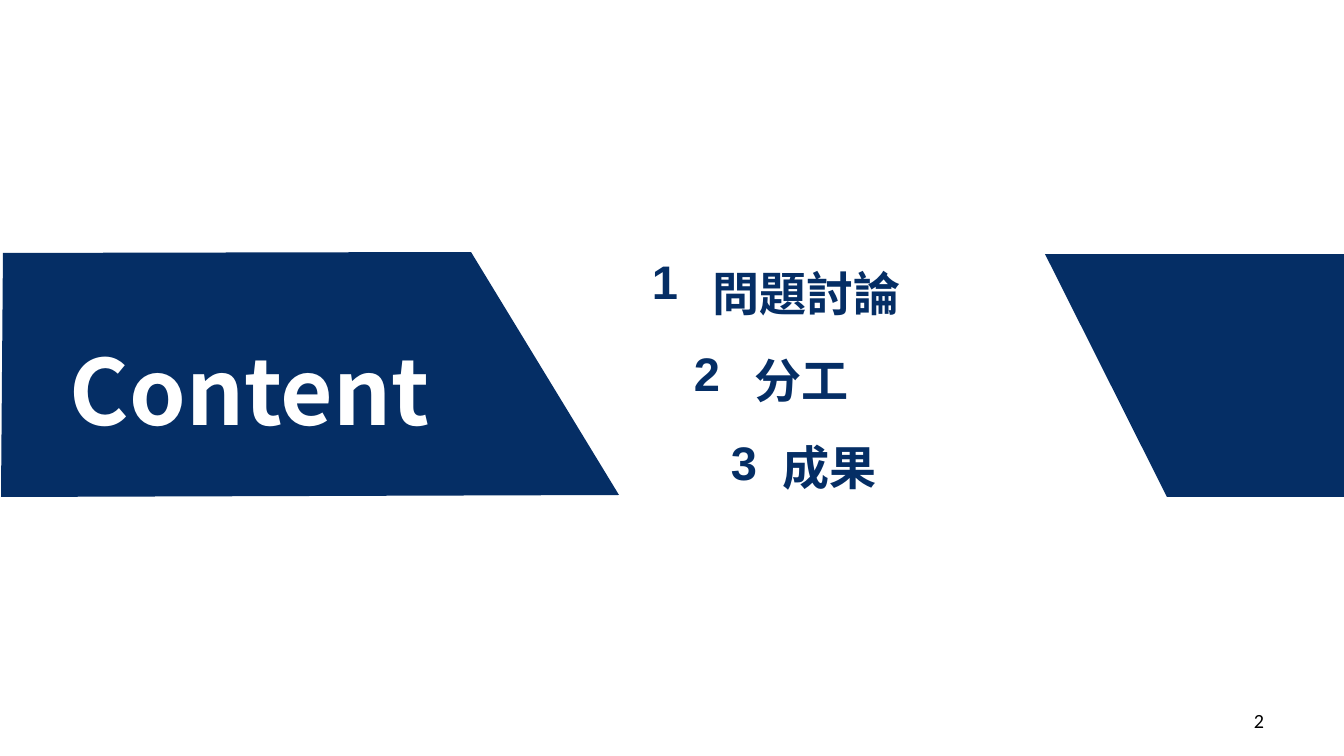
from dataclasses import dataclass

from lxml import etree
from pptx import Presentation, util as u
from pptx.dml.color import RGBColor
from pptx.enum import text
from pptx.oxml import ns


@dataclass(frozen=True)
class Theme:
    navy: str = "052E65"
    white: str = "FFFFFF"
    black: str = "000000"
    heading: str = "Noto Sans CJK SC"
    number: str = "Arial"
    footer: str = "Calibri"
    title_size: int = 54
    item_size: int = 28
    page_size: int = 12


T = Theme()
PX = u.Inches(1) / 121


def px(n):
    return u.Emu(round(n * PX))


def add_text(s, box, words, font, size, color, bold=True, wrap=True, grow=False):
    """Add a one-paragraph text box and return its frame."""
    tf = s.shapes.add_textbox(*map(px, box)).text_frame
    tf.word_wrap = wrap
    tf.auto_size = (text.MSO_AUTO_SIZE.SHAPE_TO_FIT_TEXT if grow
                    else text.MSO_AUTO_SIZE.NONE)
    p = tf.paragraphs[0]
    p.text = words
    f = p.font
    f.name, f.size, f.bold = font, u.Pt(size), bold
    f.color.rgb = RGBColor.from_string(color)
    # East Asian characters take their own typeface
    props = p._p.pPr.find(ns.qn("a:defRPr"))
    etree.SubElement(props, ns.qn("a:ea")).set("typeface", font)
    return tf


def add_heading(s, box, words, size, color):
    tf = add_text(s, box, words, T.heading, size, color, grow=True)
    tf.paragraphs[0].line_spacing = 1.2


def add_band(s, box, corners):
    """Draw a navy outline whose corners are relative to the box."""
    left, top = box[:2]
    points = [(px(left + x), px(top + y)) for x, y in corners]
    builder = s.shapes.build_freeform(*points[0], scale=1.0)
    builder.add_line_segments(points[1:], close=True)
    sp = builder.convert_to_shape()
    sp.shadow.inherit = False
    sp.fill.solid()
    sp.fill.fore_color.rgb = RGBColor.from_string(T.navy)
    sp.line.fill.background()


def right_band(s, box):
    w, h = box[2:]
    add_band(s, box, [(0, 0), (w, 0), (w, h), (122, h)])


def title_band(s, box):
    left, top, w, h = box
    add_band(s, box, [(2, 1), (470, 0), (w, h - 2), (0, h)])
    add_heading(s, (left + 57, top + 55, 627, 133), "Content",
                T.title_size, T.white)


def agenda(s, box):
    """Stagger the numbered items along the slanted edge."""
    left, top, _, h = box
    # number offset x, y and width; label offset x and width; label
    items = [
        (0, 0, 30, 61, 393, "問題討論"),
        (42, 92, 40, 103, 639, "分工"),
        (79, 181, 40, 131, 571, "成果"),
    ]
    row = h / len(items)
    for i, (nx, ny, nw, lx, lw, label) in enumerate(items):
        add_text(s, (left + nx, top + ny, nw, 60), str(i + 1), T.number,
                 T.item_size, T.navy, wrap=False)
        add_heading(s, (left + lx, top + i * row, lw, 75), label,
                    T.item_size, T.navy)


def page_number(s, box):
    tf = add_text(s, box, "2", T.footer, T.page_size, T.black, bold=False)
    tf.vertical_anchor = text.MSO_ANCHOR.MIDDLE
    tf.paragraphs[0].alignment = text.PP_ALIGN.RIGHT


def content_slide(prs, box):
    s = prs.slides.add_slide(prs.slide_layouts[6])
    left, top, w, h = box
    right_band(s, (left + w - 299, top + 254, 299, 243))
    title_band(s, (left + 1, top + 252, 618, 245))
    agenda(s, (left + 640, top + 247, 704, 261))
    page_number(s, (left + w - 381, top + h - 55, 313, 40))


prs = Presentation()
prs.slide_width, prs.slide_height = px(1344), px(756)
content_slide(prs, (0, 0, 1344, 756))
prs.save("out.pptx")
